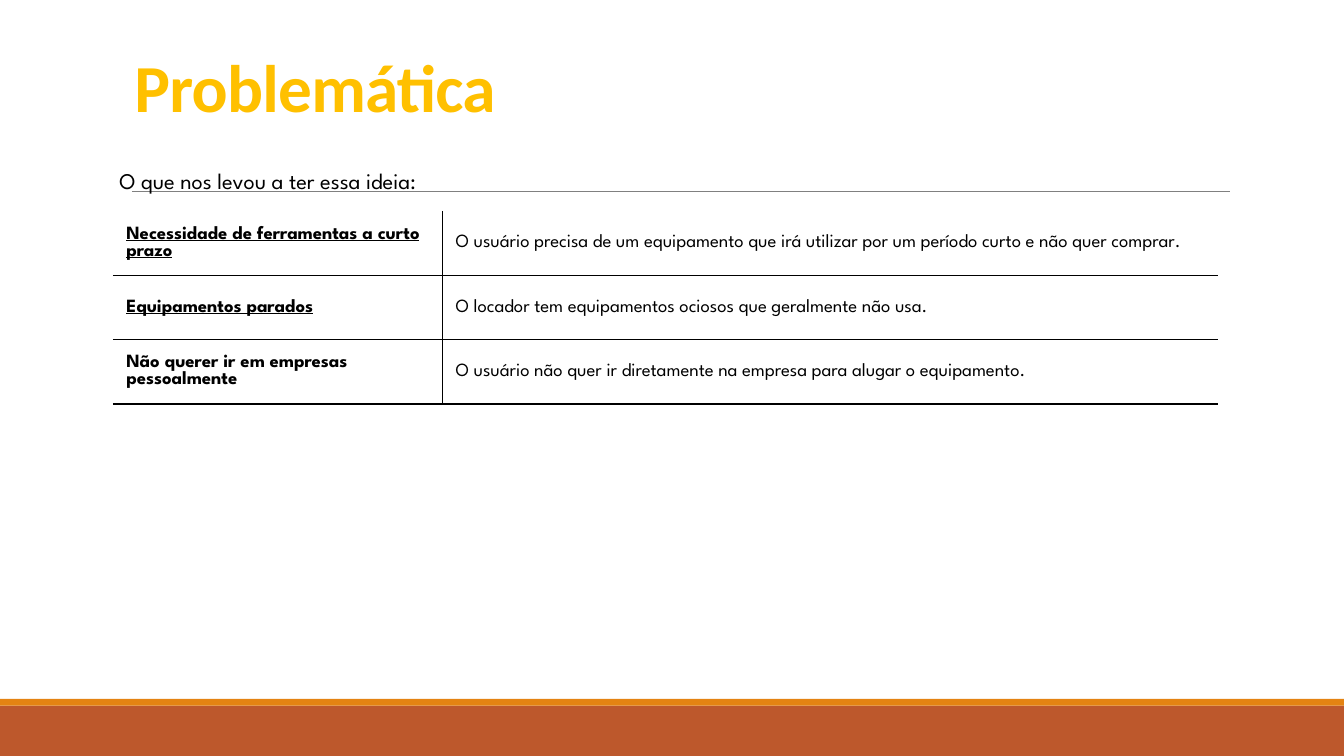
"""Build the slide on the problem, with its table of three reasons."""
from dataclasses import dataclass

from lxml.etree import SubElement as Sub
from pptx import Presentation
from pptx.dml.color import RGBColor as Rgb
from pptx.enum.shapes import MSO_CONNECTOR as Conn, MSO_SHAPE as Kind
from pptx.enum.text import MSO_ANCHOR as Anchor, PP_ALIGN as Align
from pptx.oxml.ns import qn
from pptx.util import Pt

HUES = {
    "band": "BD582C",
    "strip": "E48312",
    "rule": "808080",
    "title": "FFC000",
    "ink": "000000",
}
WIDE, HIGH = 720, 405
FACE = "League Spartan"


@dataclass
class Bar:
    top: float
    high: float
    hue: str


@dataclass
class Row:
    head: str
    text: str
    under: bool = True


BARS = [Bar(378, 27, "band"), Bar(374.4, 3.6, "strip")]
ROWS = [
    Row("Necessidade de ferramentas a curto prazo",
        "O usuário precisa de um equipamento que irá utilizar por um período curto e não quer comprar."),
    Row("Equipamentos parados",
        "O locador tem equipamentos ociosos que geralmente não usa."),
    Row("Não querer ir em empresas pessoalmente",
        "O usuário não quer ir diretamente na empresa para alugar o equipamento.", False),
]


def tint(name: str) -> Rgb:
    return Rgb.from_string(HUES[name])


def add_run(frame, text: str, size: float, face: str = FACE, hue: str = "ink",
            bold: bool = False, under: bool = False):
    para = frame.paragraphs[0]
    para.alignment = Align.LEFT
    run = para.add_run()
    run.text = text
    font = run.font
    font.size, font.name, font.bold, font.underline = Pt(size), face, bold, under
    font.color.rgb = tint(hue)
    return run


def set_box(frame, left: float, right: float, edge: float, anchor: Anchor) -> None:
    frame.margin_left, frame.margin_right = Pt(left), Pt(right)
    frame.margin_top = frame.margin_bottom = Pt(edge)
    frame.vertical_anchor = anchor
    frame.word_wrap = True


def add_bar(slide, bar: Bar) -> None:
    shape = slide.shapes.add_shape(Kind.RECTANGLE, 0, Pt(bar.top), Pt(WIDE), Pt(bar.high))
    shape.shadow.inherit = False
    shape.fill.solid()
    shape.fill.fore_color.rgb = tint(bar.hue)
    shape.line.fill.background()


def add_rule(slide) -> None:
    rule = slide.shapes.add_connector(Conn.STRAIGHT, Pt(70.6), Pt(102.7), Pt(658.8), Pt(102.7))
    rule.line.width = Pt(0.5)
    rule.line.color.rgb = tint("rule")
    Sub(rule._element.spPr, qn("a:effectLst"))


def add_title(slide) -> None:
    title = slide.shapes.title
    title.left, title.top, title.width, title.height = Pt(64.8), Pt(17.3), Pt(594), Pt(85.7)
    set_box(title.text_frame, 7.2, 7.2, 7.2, Anchor.TOP)
    run = add_run(title.text_frame, "Problemática", 36, "Calibri", "title", True)
    run._r.get_or_add_rPr().set("spc", "-40")


def add_lead(slide) -> None:
    box = slide.shapes.add_textbox(Pt(56.9), Pt(82.1), Pt(607), Pt(28.8))
    set_box(box.text_frame, 7.2, 0, 7.2, Anchor.BOTTOM)
    add_run(box.text_frame, "O que nos levou a ter essa ideia:", 12)


def set_edges(cell, shown: str) -> None:
    props = cell._tc.get_or_add_tcPr()
    for side in "LRTB":
        line = Sub(props, qn(f"a:ln{side}"), w=str(Pt(0.75)))
        if side in shown:
            fill = Sub(line, qn("a:solidFill"))
            Sub(fill, qn("a:srgbClr"), val=HUES["ink"])
        else:
            Sub(line, qn("a:noFill"))


def fill_cell(cell, text: str, edges: str, bold: bool, under: bool) -> None:
    set_edges(cell, edges)
    cell.fill.background()
    cell.margin_left = cell.margin_right = Pt(7.2)
    cell.margin_top = cell.margin_bottom = 0
    cell.vertical_anchor = Anchor.MIDDLE
    add_run(cell.text_frame, text, 10, bold=bold, under=under)


def add_grid(slide, rows: list[Row]) -> None:
    widths, high = (176.4, 415.4), 34.5
    grid = slide.shapes.add_table(len(rows), 2, Pt(60.5), Pt(113), Pt(sum(widths)),
                                  Pt(high * len(rows))).table
    grid.first_row = grid.horz_banding = False
    for col, width in zip(grid.columns, widths):
        col.width = Pt(width)
    for i, row in enumerate(rows):
        grid.rows[i].height = Pt(high)
        edges = "TB" if i else "B"
        fill_cell(grid.cell(i, 0), row.head, edges + "R", True, row.under)
        fill_cell(grid.cell(i, 1), row.text, edges + "L", False, False)


def main() -> None:
    deck = Presentation()
    deck.slide_width, deck.slide_height = Pt(WIDE), Pt(HIGH)
    slide = deck.slides.add_slide(deck.slide_layouts[5])
    for bar in BARS:
        add_bar(slide, bar)
    add_rule(slide)
    add_title(slide)
    add_grid(slide, ROWS)
    add_lead(slide)
    deck.save("out.pptx")


if __name__ == "__main__":
    main()
